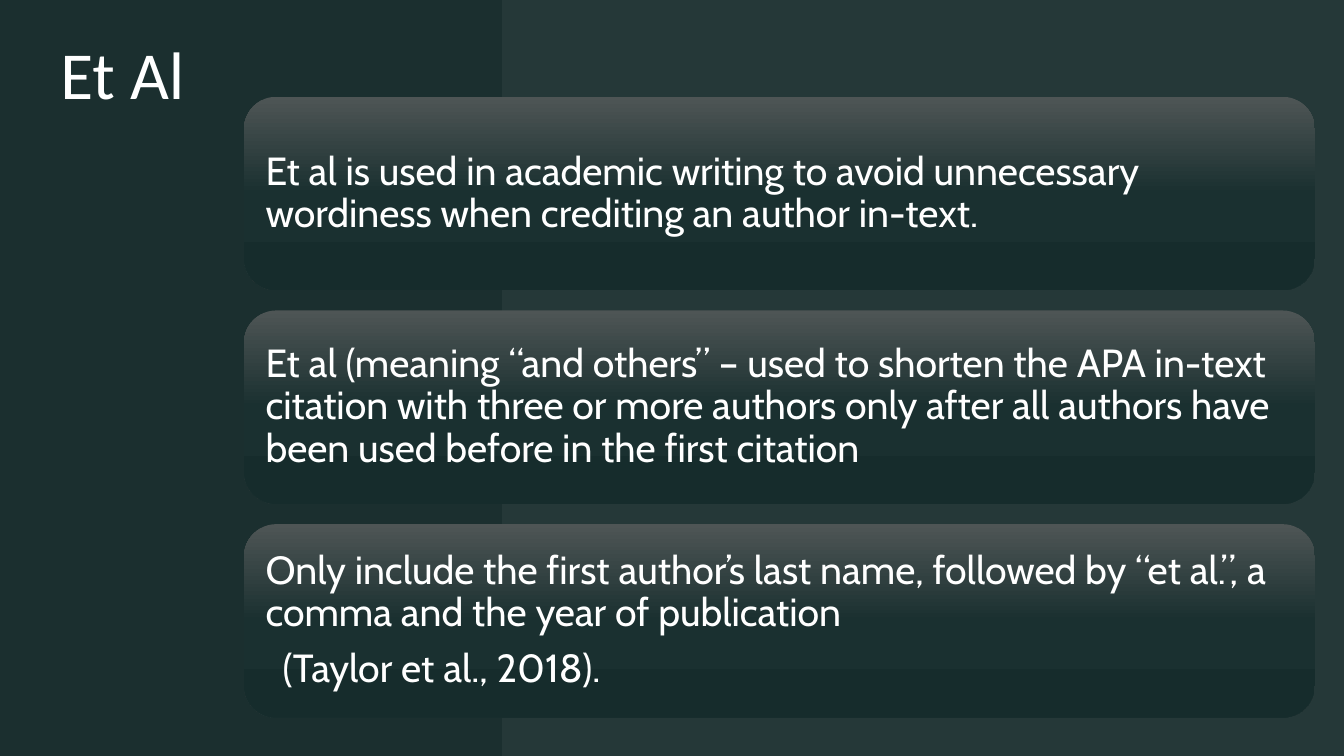
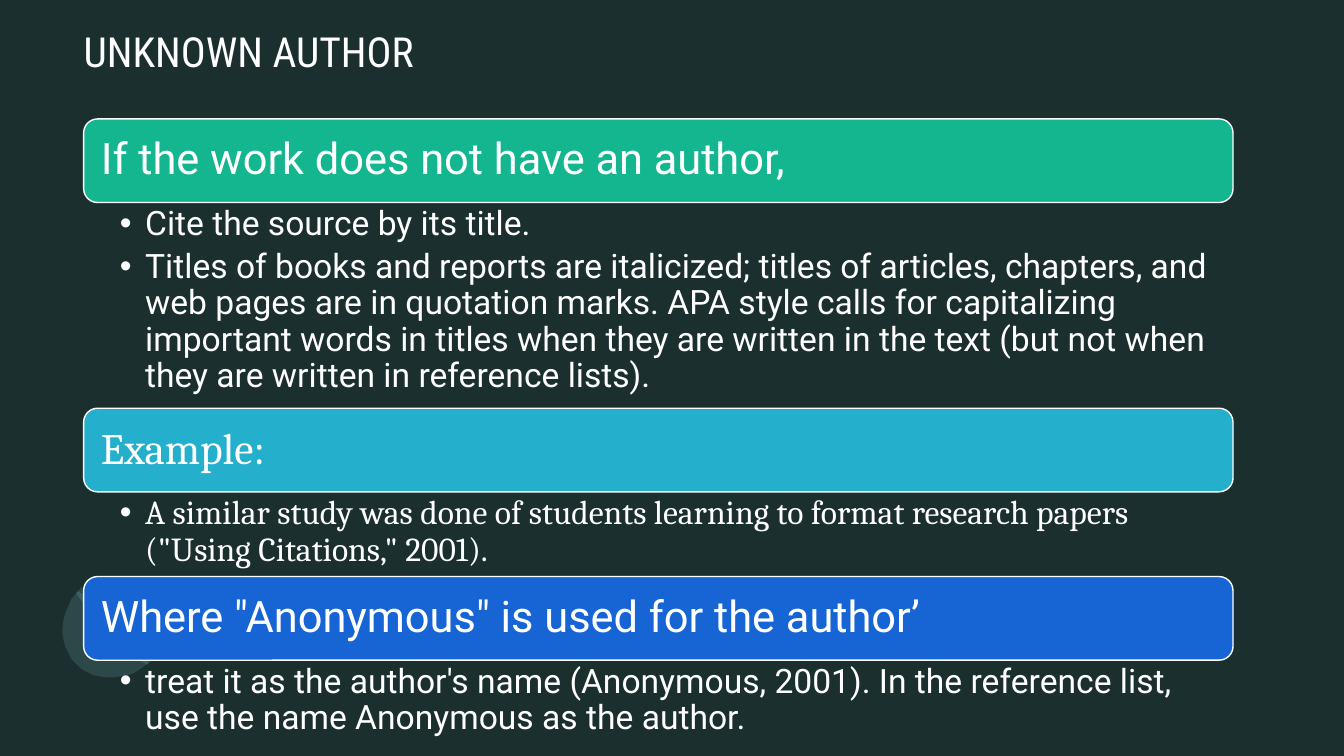
from dataclasses import dataclass
from typing import Any, NamedTuple

from lxml.etree import SubElement
from pptx import Presentation
from pptx.dml.color import RGBColor as Rgb
from pptx.enum.shapes import MSO_SHAPE as Preset
from pptx.enum.text import MSO_ANCHOR as Anchor, MSO_AUTO_SIZE as AutoSize, PP_ALIGN as Align
from pptx.oxml.ns import qn
from pptx.util import Emu, Pt

EMU_PER_PX = 9144
TITLE_ONLY, COMPARISON = 5, 4


@dataclass(frozen=True)
class Theme:
    background: str = "1B2F2F"
    text: str = "FFFFFF"
    panel: str = "E3EFEF"
    panel_opacity: int = 5
    card_stops: tuple = ((0, "4E5555"), (50, "1A3030"), (100, "162C2C"))
    glass_handle: str = "2B4B4B"
    glass_ring: str = "75AFAF"
    ring_opacity: int = 20
    card_size: float = 28
    bar_size: float = 31
    bullet_size: float = 24
    line_spacing: float = 0.9


THEME = Theme()


class Box(NamedTuple):
    left: int
    top: int
    width: int
    height: int


class Style(NamedTuple):
    font: str
    size: float
    line_spacing: float = THEME.line_spacing
    after: float = 0


class Line(NamedTuple):
    text: str
    indent: int = 0


class Section(NamedTuple):
    heading: str
    fill: str
    font: str
    list_height: int
    bullets: tuple


CARDS = (
    (Line("Et al is used in academic writing to avoid unnecessary wordiness when crediting "
          "an author in-text."),),
    (Line("Et al (meaning “and others” – used to shorten the APA in-text citation with three "
          "or more authors only after all authors have been used before in the first citation"),),
    (Line("Only include the first author’s last name, followed by “et al.”, a comma and the "
          "year of publication"),
     Line("(Taylor et al., 2018).", 17)),
)

SECTIONS = (
    Section("If the work does not have an author,", "14B68F", "Roboto", 204, (
        "Cite the source by its title.",
        "Titles of books and reports are italicized; titles of articles, chapters, and web pages "
        "are in quotation marks. APA style calls for capitalizing important words in titles when "
        "they are written in the text (but not when they are written in reference lists).")),
    Section("Example:", "24AFCD", "Cambria", 84, (
        "A similar study was done of students learning to format research papers "
        "(\"Using Citations,\" 2001).",)),
    Section("Where \"Anonymous\" is used for the author’", "1764D5", "Roboto", 84, (
        "treat it as the author's name (Anonymous, 2001). In the reference list, use the name "
        "Anonymous as the author.",)),
)

RING_START = (76, 659)
RING_PARTS = (
    ((56, 639), (58, 605), (81, 582)),
    ((99, 600),),
    ((87, 611), (86, 629), (96, 638)),
    ((106, 648), (123, 647), (135, 636)),
    ((152, 654),),
    ((130, 676), (95, 679), (76, 659)),
)
HANDLES = (Box(135, 637, 6, 26), Box(82, 583, 6, 26))


def px(value: float) -> Emu:
    return Emu(round(value * EMU_PER_PX))


def apply(target: Any, values: dict) -> None:
    for name, value in values.items():
        setattr(target, name, value)


def place(shape: Any, box: Box) -> None:
    apply(shape, {name: px(value) for name, value in box._asdict().items()})


def paint(shape: Any, color: str, opacity: int = 100) -> None:
    shape.fill.solid()
    shape.fill.fore_color.rgb = Rgb.from_string(color)
    if opacity < 100:
        tint = shape.fill._xPr.find(".//" + qn("a:srgbClr"))
        SubElement(tint, qn("a:alpha"), val=str(opacity * 1000))


def paint_gradient(shape: Any) -> None:
    shape.fill.gradient()
    shape.fill.gradient_angle = 270
    stops = shape.fill._xPr.find(".//" + qn("a:gsLst"))
    for stop in list(stops):
        stops.remove(stop)
    for position, color in THEME.card_stops:
        stop = SubElement(stops, qn("a:gs"), pos=str(position * 1000))
        SubElement(stop, qn("a:srgbClr"), val=color)


def add_block(page: Any, preset: Preset, box: Box) -> Any:
    shape = page.shapes.add_shape(preset, *map(px, box))
    shape.shadow.inherit = False
    shape.line.fill.background()
    return shape


def add_bullet(para: Any) -> None:
    properties = para._p.get_or_add_pPr()
    properties.set("marL", str(px(25)))
    properties.set("indent", str(px(-25)))
    color = SubElement(properties, qn("a:buClr"))
    SubElement(color, qn("a:srgbClr"), val=THEME.text)
    SubElement(properties, qn("a:buChar"), char="•")


def write(shape: Any, lines: tuple, style: Style, insets: tuple,
          anchor: Anchor = Anchor.TOP, bulleted: bool = False) -> None:
    frame = shape.text_frame
    sides = ("margin_left", "margin_top", "margin_right", "margin_bottom")
    apply(frame, {"word_wrap": True, "auto_size": AutoSize.NONE, "vertical_anchor": anchor,
                  **dict(zip(sides, map(px, insets)))})
    for index, line in enumerate(lines):
        para = frame.add_paragraph() if index else frame.paragraphs[0]
        if bulleted:
            add_bullet(para)
        elif line.indent:
            para._p.get_or_add_pPr().set("marL", str(px(line.indent)))
        apply(para, {"alignment": Align.LEFT, "line_spacing": style.line_spacing,
                     "space_before": Pt(0), "space_after": Pt(style.after)})
        span = para.add_run()
        span.text = line.text
        apply(span.font, {"name": style.font, "size": Pt(style.size), "bold": False})
        span.font.color.rgb = Rgb.from_string(THEME.text)


def write_title(page: Any, text: str, box: Box, style: Style) -> None:
    place(page.shapes.title, box)
    write(page.shapes.title, (Line(text),), style, (0, 0, 0, 0))


def draw_magnifier(page: Any) -> None:
    for box in HANDLES:
        handle = add_block(page, Preset.OVAL, box)
        handle.rotation = 135
        paint(handle, THEME.glass_handle)
    points = [RING_START]
    for part in RING_PARTS:
        if len(part) == 1:
            points.append(part[0])
            continue
        corners = (points[-1], *part)
        for step in range(1, 13):
            t = step / 12
            weights = ((1 - t) ** 3, 3 * t * (1 - t) ** 2, 3 * t * t * (1 - t), t ** 3)
            points.append(tuple(sum(weight * corner[axis] for weight, corner in zip(weights, corners))
                                for axis in (0, 1)))
    builder = page.shapes.build_freeform(*points[0], scale=EMU_PER_PX)
    builder.add_line_segments(points[1:], close=True)
    ring = builder.convert_to_shape()
    ring.shadow.inherit = False
    ring.line.fill.background()
    paint(ring, THEME.glass_ring, THEME.ring_opacity)


def build_et_al(deck: Any) -> None:
    page = deck.slides.add_slide(deck.slide_layouts[TITLE_ONLY])
    panel = add_block(page, Preset.RECTANGLE, Box(498, 0, 835, 750))
    paint(panel, THEME.panel, THEME.panel_opacity)
    write_title(page, "Et Al", Box(60, 32, 1213, 105), Style("Calibri", 48, 1.0))
    style = Style("Cabin", THEME.card_size, after=THEME.card_size * 0.35)
    height, gap = 192, 20
    for index, lines in enumerate(CARDS):
        card = add_block(page, Preset.ROUNDED_RECTANGLE,
                         Box(242, 96 + index * (height + gap), 1062, height))
        paint_gradient(card)
        write(card, lines, style, (12,) * 4, Anchor.MIDDLE)


def build_unknown_author(deck: Any) -> None:
    page = deck.slides.add_slide(deck.slide_layouts[COMPARISON])
    write_title(page, "UNKNOWN AUTHOR", Box(83, 26, 1213, 62), Style("Roboto Condensed", 29.6, 1.0))
    draw_magnifier(page)
    bodies = list(page.placeholders)[1:]
    left, top, width, bar_height = 83, 118, 1140, 83
    for section, body in zip(SECTIONS, bodies):
        bar = add_block(page, Preset.ROUNDED_RECTANGLE, Box(left, top, width, bar_height))
        paint(bar, section.fill)
        bar.line.color.rgb = Rgb.from_string(THEME.text)
        bar.line.width = Pt(1)
        write(bar, (Line(section.heading),),
              Style(section.font, THEME.bar_size, after=THEME.bar_size * 0.35),
              (13,) * 4, Anchor.MIDDLE)
        top += bar_height
        place(body, Box(left, top, width, section.list_height))
        write(body, tuple(map(Line, section.bullets)),
              Style(section.font, THEME.bullet_size, after=THEME.bullet_size * 0.2),
              (36, 4, 24, 4), bulleted=True)
        top += section.list_height
    for spare in bodies[len(SECTIONS):]:
        spare.element.getparent().remove(spare.element)


def main() -> None:
    deck = Presentation()
    apply(deck, {"slide_width": px(1333), "slide_height": px(750)})
    backdrop = deck.slide_master.background.fill
    backdrop.solid()
    backdrop.fore_color.rgb = Rgb.from_string(THEME.background)
    build_et_al(deck)
    build_unknown_author(deck)
    deck.save("out.pptx")


if __name__ == "__main__":
    main()
